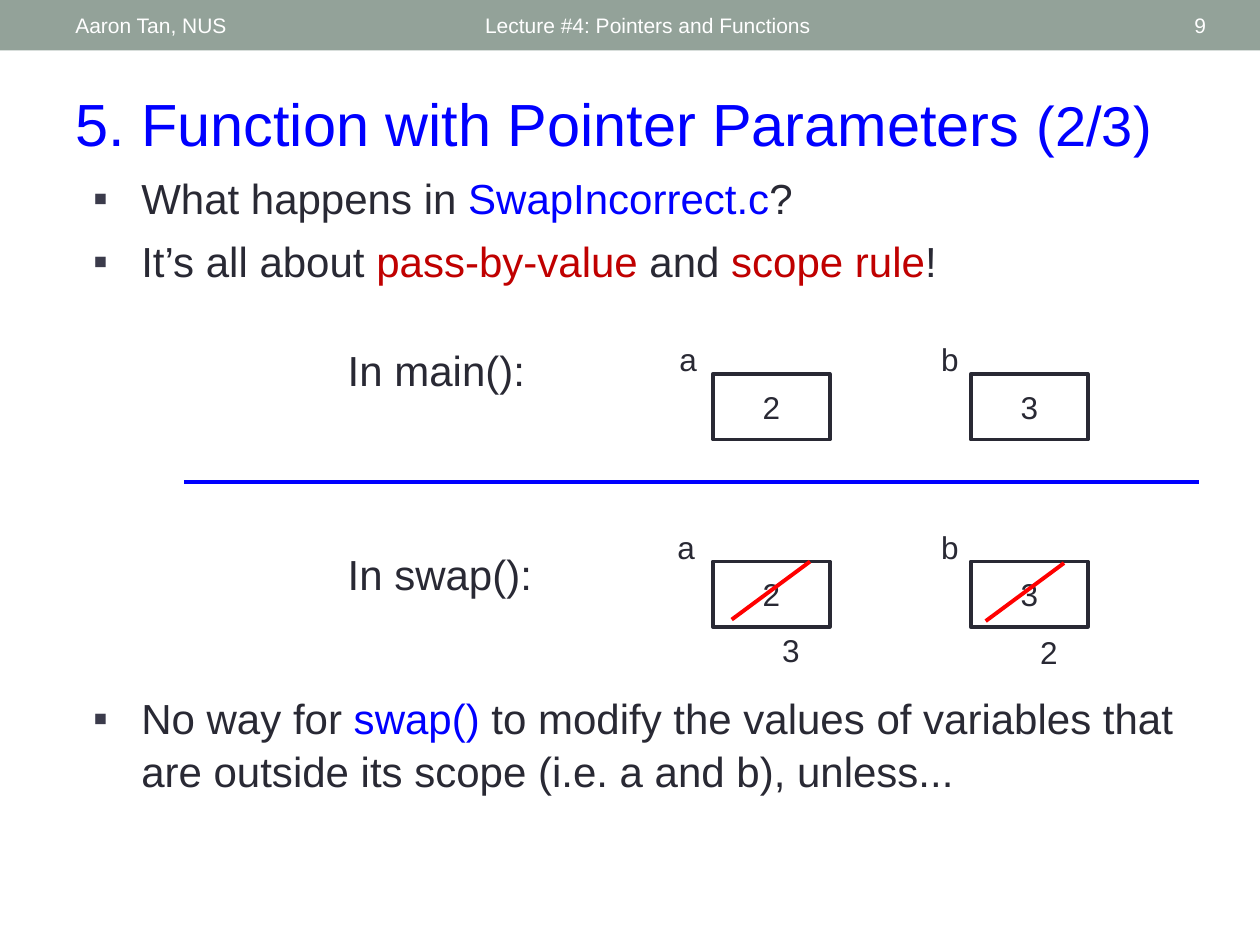
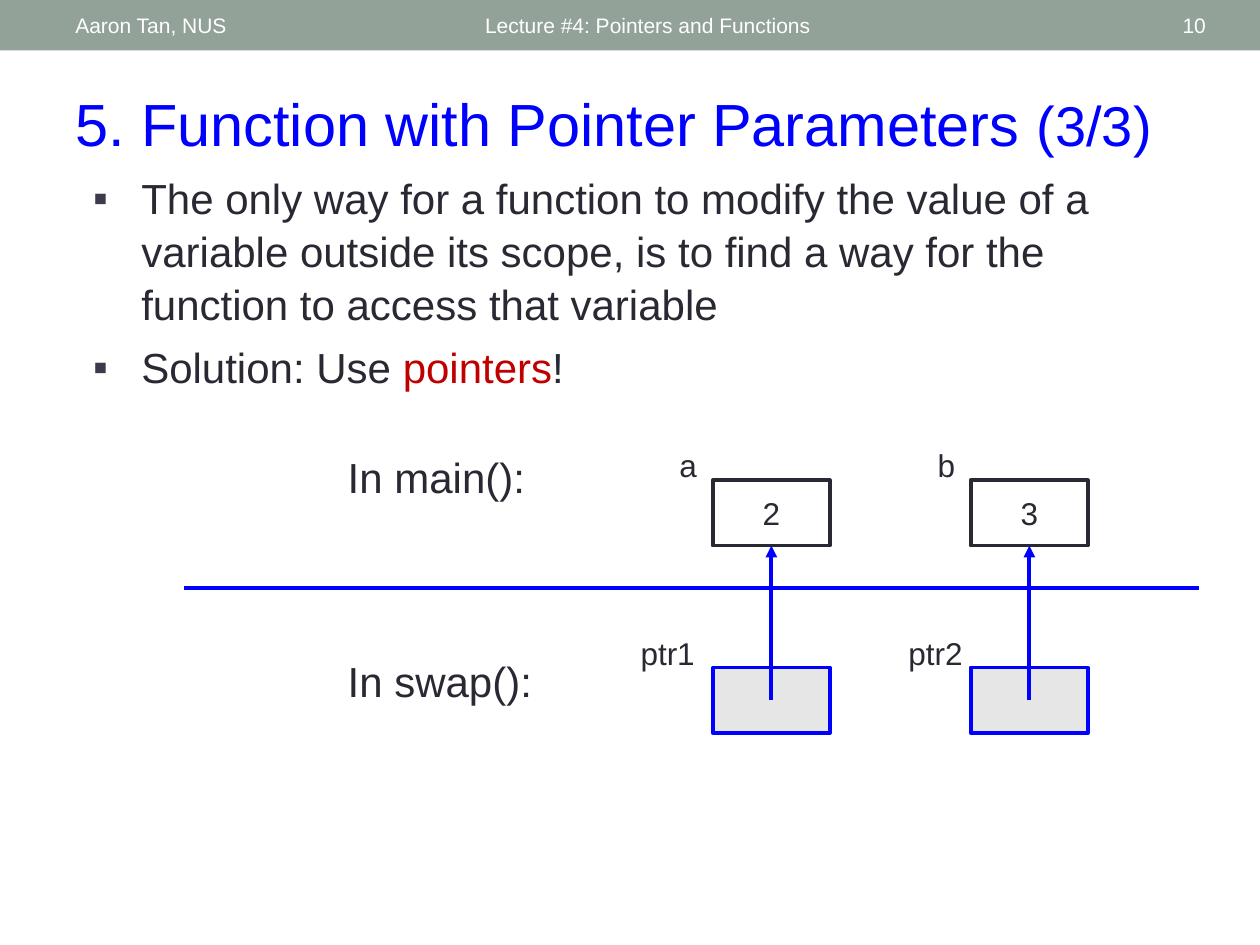
from lxml.etree import SubElement
from pptx import Presentation
from pptx.dml.color import RGBColor
from pptx.enum.shapes import MSO_CONNECTOR, MSO_SHAPE
from pptx.enum.text import MSO_ANCHOR, PP_ALIGN
from pptx.oxml.ns import qn
from pptx.util import Cm, Pt

WHITE = RGBColor(0xFF, 0xFF, 0xFF)
SAGE = RGBColor(0x93, 0xA2, 0x99)
INK = RGBColor(0x29, 0x29, 0x34)
SLATE = RGBColor(0x3B, 0x3B, 0x4B)
BLUE = RGBColor(0x00, 0x00, 0xFF)
CRIMSON = RGBColor(0xC0, 0x00, 0x00)
RED = RGBColor(0xFF, 0x00, 0x00)
PALE = RGBColor(0xE6, 0xE6, 0xE6)

FONT = "Arial"
SLIDE_WIDTH, SLIDE_HEIGHT = 25.4, 19.05
BAND_HEIGHT = 1.02
BOX_WIDTH, BOX_HEIGHT = 2.36, 1.32
FIRST_BOX, BOX_PITCH = 14.37, 5.2
SWAP_DROP, DIVIDER_DROP = 3.78, 2.18
HANGING = Cm(0.97)

FORMATS = {
    "header": {"alignment": PP_ALIGN.LEFT},
    "page": {"alignment": PP_ALIGN.RIGHT},
    "title": {"alignment": PP_ALIGN.LEFT},
    "bullet": {"line_spacing": 1.05},
    "scope": {"alignment": PP_ALIGN.LEFT},
    "variable": {"alignment": PP_ALIGN.CENTER},
}
SIZES = {"header": 12, "page": 12, "title": 34, "bullet": 24, "scope": 24, "variable": 18}


class Deck:
    def __init__(self):
        self.presentation = Presentation()
        self.presentation.slide_width = Cm(SLIDE_WIDTH)
        self.presentation.slide_height = Cm(SLIDE_HEIGHT)
        self.slide = None

    def start_slide(self, number, part):
        layout = self.presentation.slide_layouts[6]
        self.slide = self.presentation.slides.add_slide(layout)
        self.rectangle(0, 0, SLIDE_WIDTH, BAND_HEIGHT, fill=SAGE)
        for kind, left, width, words in (
            ("header", 9.53, 11.43, "Lecture #4: Pointers and Functions"),
            ("header", 1.27, 8.05, "Aaron Tan, NUS"),
            ("page", 22.15, 2.41, number),
        ):
            self.text(kind, left, 0.05, width, 0.91, [(words, WHITE)], MSO_ANCHOR.MIDDLE)
        heading = [("5. Function with Pointer Parameters ", BLUE), (part, BLUE, 32)]
        self.text("title", 1.27, 1.63, 23.29, 1.7, heading)

    def fill_paragraph(self, paragraph, kind, runs):
        for name, value in FORMATS[kind].items():
            setattr(paragraph, name, value)
        for words, colour, *size in runs:
            run = paragraph.add_run()
            run.text = words
            points = size[0] if size else SIZES[kind]
            for name, value in {"name": FONT, "size": Pt(points)}.items():
                setattr(run.font, name, value)
            run.font.color.rgb = colour

    def frame(self, left, top, width, height, anchor=MSO_ANCHOR.TOP):
        frame = self.slide.shapes.add_textbox(Cm(left), Cm(top), Cm(width), Cm(height)).text_frame
        for name, value in {"word_wrap": True, "vertical_anchor": anchor}.items():
            setattr(frame, name, value)
        return frame

    def text(self, kind, left, top, width, height, runs, anchor=MSO_ANCHOR.TOP):
        frame = self.frame(left, top, width, height, anchor)
        self.fill_paragraph(frame.paragraphs[0], kind, runs)

    def bullets(self, top, height, points):
        frame = self.frame(1.63, top, 22.86, height)
        for index, runs in enumerate(points):
            paragraph = frame.add_paragraph() if index else frame.paragraphs[0]
            properties = paragraph._p.get_or_add_pPr()
            properties.set("marL", str(HANGING))
            properties.set("indent", str(-HANGING))
            colour = SubElement(properties, qn("a:buClr"))
            SubElement(colour, qn("a:srgbClr"), val=str(SLATE))
            SubElement(properties, qn("a:buFont"), typeface=FONT)
            SubElement(properties, qn("a:buChar"), char="▪")
            if index:
                paragraph.space_before = Pt(6)
            self.fill_paragraph(paragraph, "bullet", runs)

    def rectangle(self, left, top, width, height, fill=None, outline=None):
        shape = self.slide.shapes.add_shape(
            MSO_SHAPE.RECTANGLE, Cm(left), Cm(top), Cm(width), Cm(height))
        shape.shadow.inherit = False
        if fill is None:
            shape.fill.background()
        else:
            shape.fill.solid()
            shape.fill.fore_color.rgb = fill
        if outline is None:
            shape.line.fill.background()
        else:
            shape.line.color.rgb = outline
            shape.line.width = Pt(2.08)
        return shape

    def line(self, start, end, colour, arrow=False):
        connector = self.slide.shapes.add_connector(
            MSO_CONNECTOR.STRAIGHT, *(Cm(length) for length in (*start, *end)))
        connector.line.color.rgb = colour
        connector.line.width = Pt(2.25)
        if arrow:
            SubElement(connector.line._get_or_add_ln(), qn("a:tailEnd"), type="triangle")
        SubElement(connector._element.spPr, qn("a:effectLst"))
        return connector

    def memory_row(self, top, cells, fill=None, outline=INK):
        boxes = []
        for column, (name, gap, width, value) in enumerate(cells):
            left = FIRST_BOX + column * BOX_PITCH
            box = self.rectangle(left, top, BOX_WIDTH, BOX_HEIGHT, fill, outline)
            if value:
                box.text_frame.vertical_anchor = MSO_ANCHOR.MIDDLE
                self.fill_paragraph(box.text_frame.paragraphs[0], "variable", [(value, INK)])
            self.text("variable", left - gap - width / 2, top - 0.81, width, 1.02, [(name, INK)])
            boxes.append(box)
        return boxes

    def scopes(self, top):
        for name, drop in (("main", -0.71), ("swap", 3.4)):
            self.text("scope", 6.76, top + drop, 4.29, 1.27, [(f"In {name}():", INK)])
        self.line((3.71, top + DIVIDER_DROP), (24.18, top + DIVIDER_DROP), BLUE)

    def replacement(self, column, top, value, shift, drop):
        left = FIRST_BOX + column * BOX_PITCH
        self.line((left + 1.96 - shift, top + drop), (left + 0.38 - shift, top + 1.17 + drop), RED)
        self.text("variable", left + 0.8, top + 1.28 + drop, 1.55, 1.02, [(value, INK)])


def pass_by_value(deck):
    deck.start_slide("9", "(2/3)")
    deck.bullets(3.3, 2.79, [
        [("What happens in ", INK), ("SwapIncorrect.c", BLUE), ("?", INK)],
        [("It’s all about ", INK), ("pass-by-value ", CRIMSON), ("and", INK),
         (" scope rule", CRIMSON), ("!", INK)],
    ])
    main_top = 7.54
    swap_top = main_top + SWAP_DROP
    deck.scopes(main_top)
    deck.memory_row(main_top, [("a", 0.5, 1.24, "2"), ("b", 0.42, 1.24, "3")])
    deck.memory_row(swap_top, [("a", 0.54, 1.85, "2"), ("b", 0.42, 1.65, "3")])
    deck.replacement(0, swap_top, "3", shift=0, drop=0)
    deck.replacement(1, swap_top, "2", shift=0.08, drop=0.03)
    deck.bullets(13.79, 2.79, [[
        ("No way for ", INK), ("swap() ", BLUE),
        ("to modify the values of variables that are outside its scope "
         "(i.e. a and b), unless...", INK),
    ]])


def pass_by_pointer(deck):
    deck.start_slide("10", "(3/3)")
    deck.bullets(3.3, 13.84, [
        [("The only way for a function to modify the value of a variable outside its scope, "
          "is to find a way for the function to access that variable", INK)],
        [("Solution: Use ", INK), ("pointers", CRIMSON), ("!", INK)],
    ])
    main_top = 9.68
    swap_top = main_top + SWAP_DROP
    deck.scopes(main_top)
    targets = deck.memory_row(main_top, [("a", 0.5, 1.02, "2"), ("b", 0.49, 1.02, "3")])
    deck.memory_row(
        swap_top, [("ptr1", 0.91, 2.59, ""), ("ptr2", 0.71, 2.24, "")], PALE, BLUE)
    for column, target in enumerate(targets):
        middle = FIRST_BOX + column * BOX_PITCH + BOX_WIDTH / 2
        pointer = deck.line(
            (middle, swap_top + BOX_HEIGHT / 2), (middle, main_top + BOX_HEIGHT), BLUE, arrow=True)
        pointer.end_connect(target, 2)


def main():
    deck = Deck()
    pass_by_value(deck)
    pass_by_pointer(deck)
    deck.presentation.save("out.pptx")


if __name__ == "__main__":
    main()
